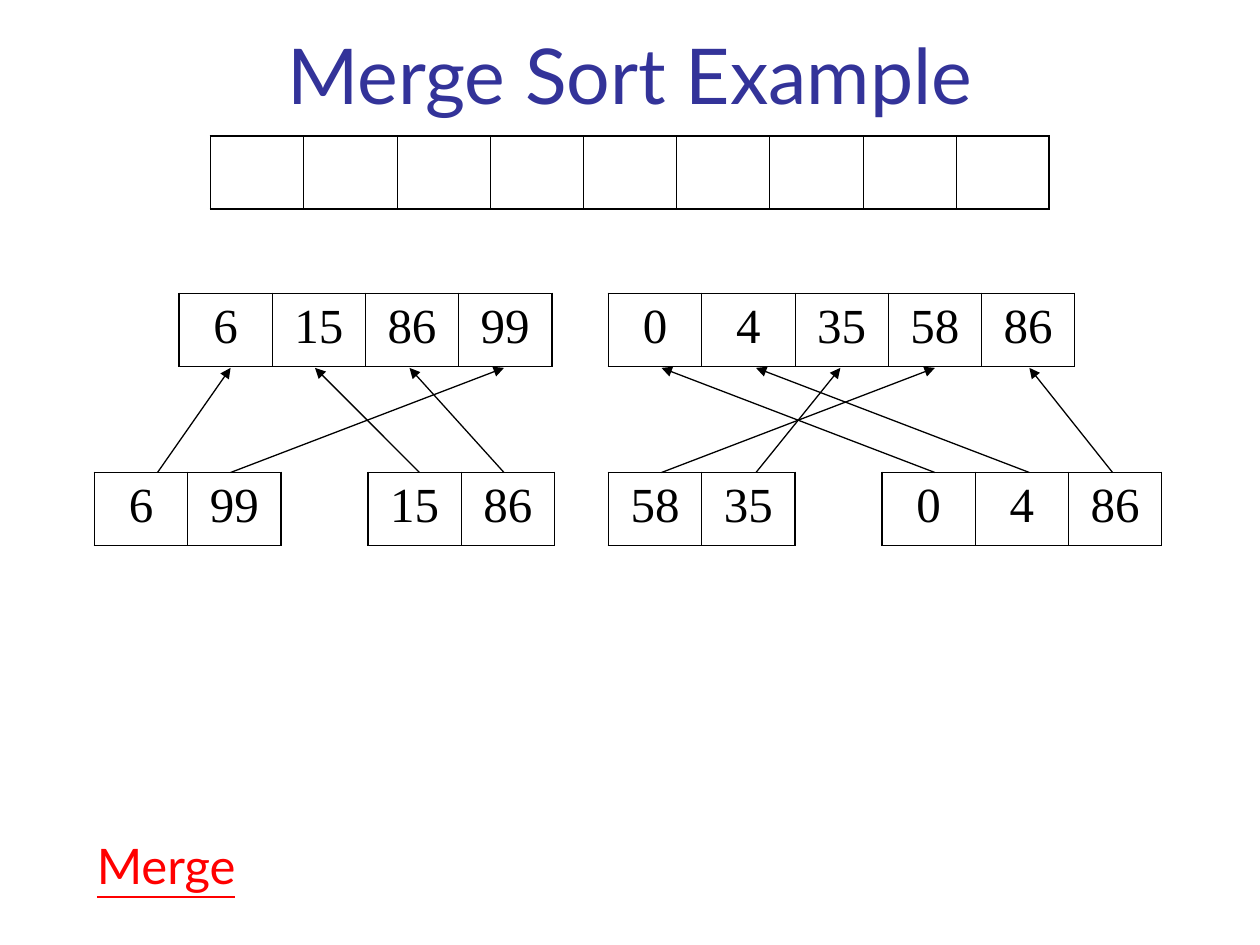
from dataclasses import dataclass

from lxml import etree
from pptx import Presentation
from pptx.dml.color import RGBColor
from pptx.enum.shapes import MSO_CONNECTOR
from pptx.enum.text import MSO_ANCHOR, MSO_AUTO_SIZE, PP_ALIGN
from pptx.oxml.ns import qn
from pptx.util import Inches, Pt

CENTER = PP_ALIGN.CENTER
BOTTOM = MSO_ANCHOR.BOTTOM
NO_FIT = MSO_AUTO_SIZE.NONE
STRAIGHT = MSO_CONNECTOR.STRAIGHT
TITLE_ONLY = 5


@dataclass(frozen=True)
class Theme:
    title_color: str = "333399"
    ink: str = "000000"
    accent: str = "FF0000"
    text_font: str = "Lato"
    number_font: str = "Times New Roman"
    title_size: int = 44
    body_size: int = 28
    outer_line: float = 1.08
    inner_line: float = 0.45
    arrow_line: float = 0.75


CELL_W, CELL_H = 0.74, 0.58
RESULT_Y, MERGED_Y, PARTS_Y = 1.08, 2.33, 3.75
ARROW_END_Y = 2.92

# Left, top and values of each array
ARRAYS = [
    (1.67, RESULT_Y, [""] * 9),
    (1.42, MERGED_Y, ["6", "15", "86", "99"]),
    (4.83, MERGED_Y, ["0", "4", "35", "58", "86"]),
    (0.75, PARTS_Y, ["6", "99"]),
    (2.92, PARTS_Y, ["15", "86"]),
    (4.83, PARTS_Y, ["58", "35"]),
    (7, PARTS_Y, ["0", "4", "86"]),
]

# Start and end x of each move from the parts to the merged arrays
MOVES = [
    (1.25, 1.83), (3.33, 2.5), (1.83, 4), (4, 3.25),
    (5.25, 7.42), (7.42, 5.25), (8.17, 6), (6, 6.67), (8.83, 8.17),
]


class SlideBuilder:
    def __init__(self, slide, theme):
        self.s = slide
        self.theme = theme

    def add_run(self, p, text, font, size, color, underline=None):
        r = p.add_run()
        r.text = text
        r.font.name = font
        r.font.size = Pt(size)
        r.font.color.rgb = RGBColor.from_string(color)
        r.font.underline = underline

    def title(self, text, left, top, width, height):
        t = self.theme
        sp = self.s.shapes.title
        sp.left, sp.top = Inches(left), Inches(top)
        sp.width, sp.height = Inches(width), Inches(height)
        tf = sp.text_frame
        tf.auto_size = NO_FIT
        tf.vertical_anchor = BOTTOM
        p = tf.paragraphs[0]
        p.alignment = CENTER
        self.add_run(p, text, t.text_font, t.title_size, t.title_color)

    def label(self, text, left, top, width, height):
        t = self.theme
        tf = self.s.shapes.add_textbox(
            Inches(left), Inches(top), Inches(width), Inches(height)).text_frame
        tf.word_wrap = True
        self.add_run(tf.paragraphs[0], text, t.text_font, t.body_size,
                     t.accent, underline=True)

    def border(self, cell, side, width):
        ln = etree.SubElement(cell._tc.get_or_add_tcPr(), qn(f"a:ln{side}"),
                              w=str(int(Pt(width))))
        fill = etree.SubElement(ln, qn("a:solidFill"))
        etree.SubElement(fill, qn("a:srgbClr"), val=self.theme.ink)

    def array(self, left, top, values):
        t = self.theme
        n = len(values)
        table = self.s.shapes.add_table(
            1, n, Inches(left), Inches(top),
            Inches(n * CELL_W), Inches(CELL_H)).table
        table.first_row = table.horz_banding = False
        for i, value in enumerate(values):
            table.columns[i].width = Inches(CELL_W)
            cell = table.cell(0, i)
            self.border(cell, "L", t.outer_line if i == 0 else t.inner_line)
            self.border(cell, "R", t.outer_line if i == n - 1 else t.inner_line)
            self.border(cell, "T", t.outer_line)
            self.border(cell, "B", t.outer_line)
            cell.fill.background()
            if value:
                p = cell.text_frame.paragraphs[0]
                p.alignment = CENTER
                self.add_run(p, value, t.number_font, t.body_size, t.ink)

    def arrow(self, x1, y1, x2, y2):
        t = self.theme
        c = self.s.shapes.add_connector(
            STRAIGHT, Inches(x1), Inches(y1), Inches(x2), Inches(y2))
        c.line.color.rgb = RGBColor.from_string(t.ink)
        c.line.width = Pt(t.arrow_line)
        etree.SubElement(c.line._get_or_add_ln(), qn("a:tailEnd"), type="triangle")
        etree.SubElement(c._element.spPr, qn("a:effectLst"))


def main():
    prs = Presentation()
    prs.slide_width, prs.slide_height = Inches(10), Inches(7.5)
    slide = prs.slides.add_slide(prs.slide_layouts[TITLE_ONLY])
    b = SlideBuilder(slide, Theme())

    b.title("Merge Sort Example", 0.75, 0, 8.5, 1)

    # Arrays: empty result, merged halves, parts
    for left, top, values in ARRAYS:
        b.array(left, top, values)

    # Step name
    b.label("Merge", 0.67, 6.58, 5.08, 0.57)

    # Moves from the parts up to the merged halves
    for start, end in MOVES:
        b.arrow(start, PARTS_Y, end, ARROW_END_Y)

    prs.save("out.pptx")


if __name__ == "__main__":
    main()
